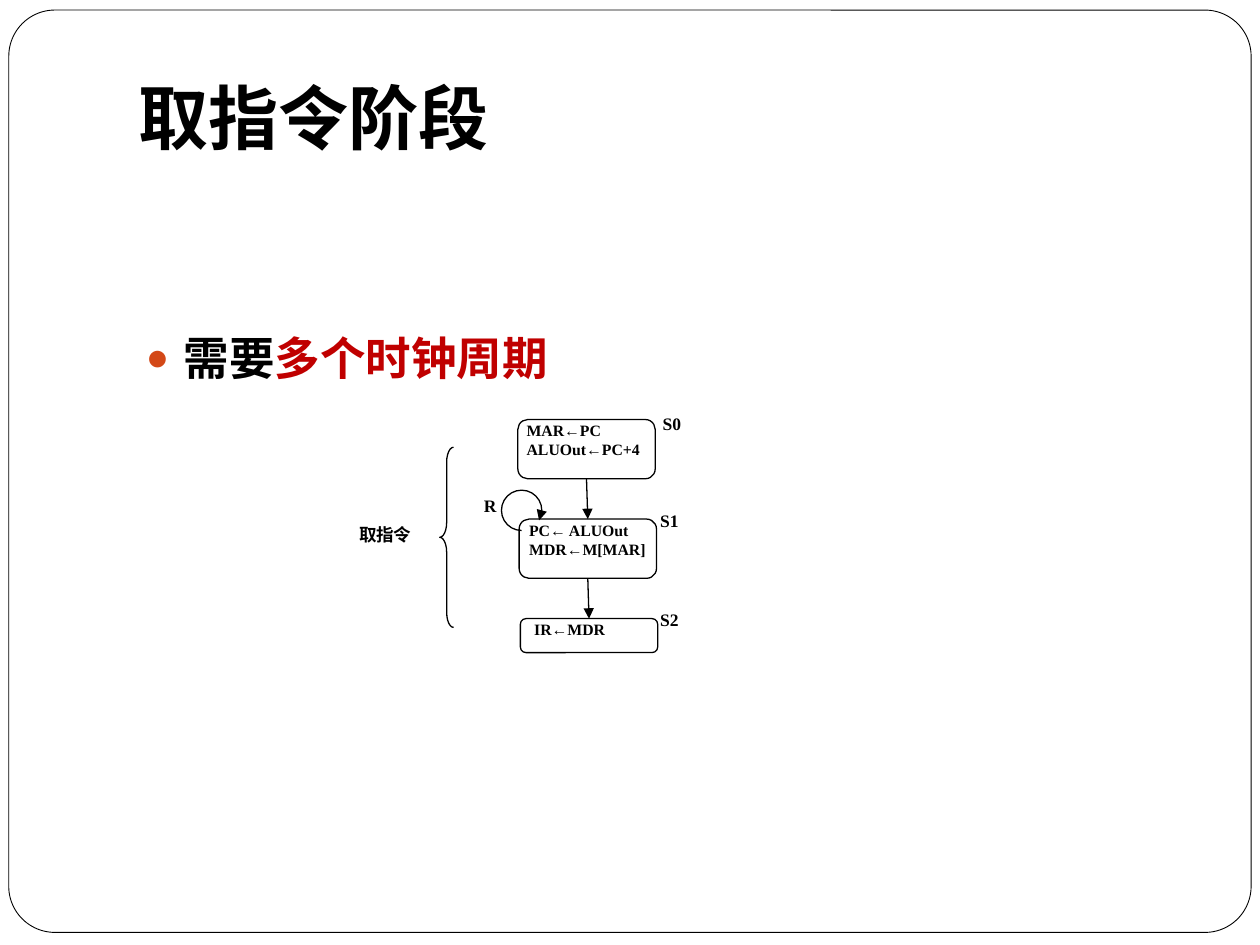
from lxml.etree import SubElement
from pptx import Presentation
from pptx.dml.color import RGBColor
from pptx.enum.shapes import MSO_CONNECTOR, MSO_SHAPE
from pptx.enum.text import MSO_ANCHOR
from pptx.oxml.ns import qn
from pptx.util import Inches, Pt

BLACK = RGBColor(0, 0, 0)
WHITE = RGBColor(255, 255, 255)
RED = RGBColor(0xC0, 0, 0)
BULLET = "D34817"
HAN = "Noto Sans CJK SC"
ROMAN = "Times New Roman"
ARROW = "←"


class Page:
    """Holds the slide and the style shared by its elements."""

    def __init__(self, slide):
        self.slide = slide
        self.shapes = slide.shapes

    def shape(self, kind, x, y, w, h, adjust=(), fill=None, width=0.75):
        item = self.shapes.add_shape(kind, Inches(x), Inches(y), Inches(w), Inches(h))
        item.shadow.inherit = False
        for i, value in enumerate(adjust):
            item.adjustments[i] = value
        if fill is None:
            item.fill.background()
        else:
            item.fill.solid()
            item.fill.fore_color.rgb = fill
        item.line.color.rgb = BLACK
        item.line.width = Pt(width)
        return item

    def run(self, para, text, size, font, color=BLACK):
        run = para.add_run()
        run.text = text
        run.font.size = Pt(size)
        run.font.bold = True
        run.font.name = font
        run.font.color.rgb = color
        if font == HAN:
            SubElement(run.font._element, qn("a:ea"), typeface=font)

    def text(self, x, y, w, h, anchor=MSO_ANCHOR.TOP, tight=True):
        """Add an empty text box and return its frame."""
        box = self.shapes.add_textbox(Inches(x), Inches(y), Inches(w), Inches(h))
        frame = box.text_frame
        frame.word_wrap = True
        frame.vertical_anchor = anchor
        if tight:
            frame.margin_left = frame.margin_right = Inches(0.02)
            frame.margin_top = frame.margin_bottom = Inches(0.01)
        return frame

    def label(self, x, y, text, w=0.5, font=ROMAN):
        frame = self.text(x, y, w, 0.28)
        self.run(frame.paragraphs[0], text, 10, font)

    def bullet(self, para):
        props = para._p.get_or_add_pPr()
        props.set("marL", str(Inches(0.3)))
        props.set("indent", str(-Inches(0.3)))
        color = SubElement(props, qn("a:buClr"))
        SubElement(color, qn("a:srgbClr"), val=BULLET)
        SubElement(props, qn("a:buSzPct"), val="85000")
        SubElement(props, qn("a:buFont"), typeface="Arial")
        SubElement(props, qn("a:buChar"), char="●")

    def state(self, x, y, h, inset, moves):
        """Draw a state box with one register transfer a line."""
        box = self.shape(MSO_SHAPE.FLOWCHART_ALTERNATE_PROCESS, x, y, 1.09, h)
        frame = self.text(x + inset, y, 1.16, h)
        for i, (target, source) in enumerate(moves):
            para = frame.add_paragraph() if i else frame.paragraphs[0]
            self.run(para, target, 9, ROMAN)
            self.run(para, ARROW, 9, "Arial")
            self.run(para, source, 9, ROMAN)
        return box

    def head(self, item):
        SubElement(item.line._get_or_add_ln(), qn("a:tailEnd"), type="triangle")

    def link(self, upper, lower):
        line = self.shapes.add_connector(MSO_CONNECTOR.STRAIGHT, 0, 0, 0, 0)
        line.begin_connect(upper, 2)
        line.end_connect(lower, 0)
        line.line.color.rgb = BLACK
        line.line.width = Pt(0.75)
        self.head(line)
        SubElement(line._element.spPr, qn("a:effectLst"))


def main():
    deck = Presentation()
    deck.slide_width, deck.slide_height = Inches(10), Inches(7.5)
    page = Page(deck.slides.add_slide(deck.slide_layouts[6]))

    page.shape(MSO_SHAPE.ROUNDED_RECTANGLE, 0.07, 0.08, 9.86, 7.32,
               adjust=[0.05], fill=WHITE, width=0.5)
    title = page.text(1, 0.3, 8.5, 1.25, MSO_ANCHOR.MIDDLE, tight=False)
    page.run(title.paragraphs[0], "取指令阶段", 40, HAN)

    point = page.text(1.06, 2.57, 7.87, 4.33, tight=False).paragraphs[0]
    page.bullet(point)
    page.run(point, "需要", 26, HAN)
    page.run(point, "多个时钟周期", 26, HAN, RED)

    states = [
        page.state(4.11, 3.33, 0.47, 0.05, [("MAR", "PC"), ("ALUOut", "PC+4")]),
        page.state(4.12, 4.12, 0.47, 0.06, [("PC", " ALUOut"), ("MDR", "M[MAR]")]),
        page.state(4.13, 4.91, 0.27, 0.09, [("IR", "MDR")]),
    ]
    for upper, lower in zip(states, states[1:]):
        page.link(upper, lower)

    page.label(5.24, 3.27, "S0")
    page.label(5.22, 4.04, "S1")
    page.label(5.22, 4.82, "S2")
    page.label(3.82, 3.92, "R")
    page.label(2.83, 4.15, "取指令", w=0.59, font=HAN)

    page.shape(MSO_SHAPE.LEFT_BRACE, 3.49, 3.55, 0.11, 1.43, adjust=[1.07, 0.5])
    # Arc angles of 90 and 30 degrees, in the units of the adjustments
    loop = page.shape(MSO_SHAPE.ARC, 3.98, 3.89, 0.32, 0.32,
                      adjust=[90 * 0.6, 30 * 0.6])
    page.head(loop)

    deck.save("out.pptx")


if __name__ == "__main__":
    main()
